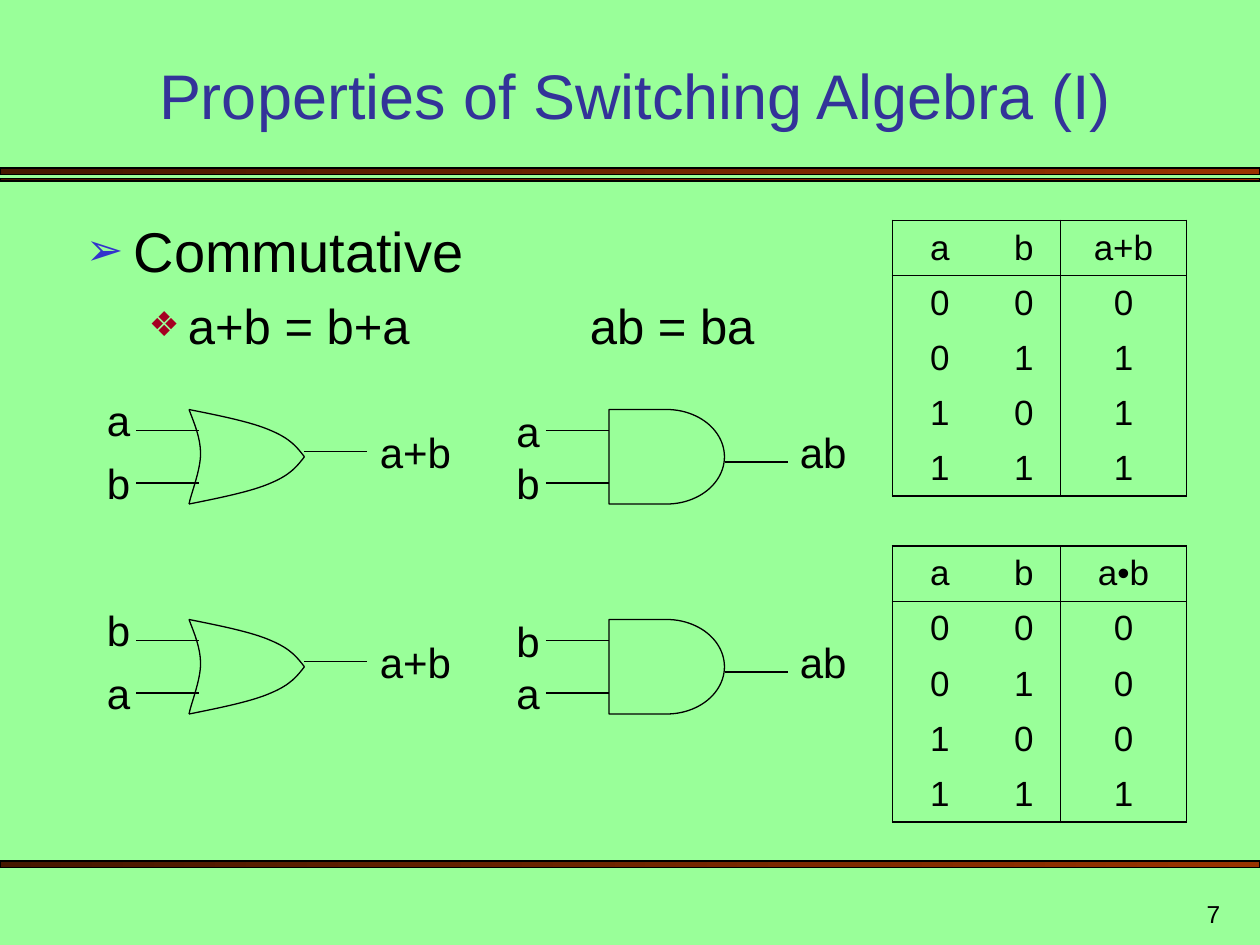
from lxml import etree
from pptx import Presentation
from pptx.dml.color import RGBColor
from pptx.enum.shapes import MSO_CONNECTOR, MSO_SHAPE
from pptx.enum.text import MSO_ANCHOR, MSO_AUTO_SIZE, PP_ALIGN
from pptx.oxml.ns import qn
from pptx.util import Inches, Pt

BACKGROUND = RGBColor(0x99, 0xFF, 0x99)
BLACK = RGBColor(0, 0, 0)
TITLE_BLUE = RGBColor(0x33, 0x33, 0x99)
ARROW_BLUE = RGBColor(0x33, 0x33, 0xCC)
DIAMOND_RED = RGBColor(0xA5, 0x00, 0x21)
BAR_LIGHT = RGBColor(0x99, 0x33, 0x00)
BAR_DARK = RGBColor(0x46, 0x17, 0x00)

INPUT_PAIRS = [("0", "0"), ("0", "1"), ("1", "0"), ("1", "1")]

# Gate measures, in grid units of a twelfth of an inch
GATE_WIDTH, GATE_HEIGHT = 11, 9
WIRE_LENGTH = 6
INPUT_OFFSETS = (2, 7)

# OR gate sides: a start, then three points for each cubic curve
OR_BACK = [(0, 0), (0.5, 1.3), (1.1, 2.7), (1.1, 4.2), (1.1, 5.8), (0.2, 8), (0, 9)]
OR_TOP = [(0, 0), (3, 0.6), (6, 1.2), (7.8, 2), (9.7, 2.8), (10.3, 3.6), (11, 4.5)]
OR_BOTTOM = [(x, GATE_HEIGHT - y) for x, y in OR_TOP]


def grid(units):
    return Inches(units / 12)


def format_paragraph(para, size, color=BLACK, align=None):
    para.alignment = align
    para.font.name = "Arial"
    para.font.size = Pt(size)
    para.font.color.rgb = color


def outline(shape):
    shape.line.color.rgb = BLACK
    shape.line.width = Pt(0.75)


def add_label(page, text, left, top, width, height=6, size=24, align=None):
    box = page.shapes.add_textbox(grid(left), grid(top), grid(width), grid(height))
    box.text_frame.word_wrap = True
    box.text_frame.text = text
    format_paragraph(box.text_frame.paragraphs[0], size, align=align)
    return box


def add_bar(page, top, height):
    bar = page.shapes.add_shape(
        MSO_SHAPE.RECTANGLE, 0, grid(top), Inches(10), Inches(height))
    bar.shadow.inherit = False
    bar.fill.gradient()
    bar.fill.gradient_angle = 180
    for stop, color in zip(bar.fill.gradient_stops, (BAR_LIGHT, BAR_DARK)):
        stop.color.rgb = color
    outline(bar)


def add_title(page):
    title = page.shapes.title
    title.left, title.top = grid(7), grid(5)
    title.width, title.height = grid(107), Inches(0.68)
    frame = title.text_frame
    frame.text = "Properties of Switching Algebra (I)"
    frame.auto_size = MSO_AUTO_SIZE.NONE
    frame.vertical_anchor = MSO_ANCHOR.BOTTOM
    format_paragraph(frame.paragraphs[0], 36, TITLE_BLUE, PP_ALIGN.CENTER)


def add_bullet(para, mark, color, percent, margin, hanging):
    props = para._p.get_or_add_pPr()
    props.set("marL", str(Inches(margin)))
    props.set("indent", str(-Inches(hanging)))
    bullet_color = etree.SubElement(props, qn("a:buClr"))
    etree.SubElement(bullet_color, qn("a:srgbClr"), val=str(color))
    etree.SubElement(props, qn("a:buSzPct"), val=str(percent * 1000))
    etree.SubElement(props, qn("a:buFont"), typeface="Arial")
    etree.SubElement(props, qn("a:buChar"), char=mark)
    tabs = etree.SubElement(props, qn("a:tabLst"))
    for position in range(1, 9):
        etree.SubElement(tabs, qn("a:tab"), pos=str(Inches(position)), algn="l")


def add_laws(page):
    box = page.shapes.add_textbox(grid(7), grid(20), grid(107), grid(59))
    frame = box.text_frame
    frame.word_wrap = True
    heading = frame.paragraphs[0]
    heading.text = "Commutative"
    add_bullet(heading, "➢", ARROW_BLUE, 80, 0.38, 0.38)
    format_paragraph(heading, 32)
    law = frame.add_paragraph()
    law.text = "a+b = b+a\t\tab = ba"
    law.level = 1
    add_bullet(law, "❖", DIAMOND_RED, 70, 0.81, 0.31)
    law.space_before = Pt(7)
    format_paragraph(law, 28)


def set_borders(cell, widths):
    """Widths in points by side; a side with None has no line."""
    props = cell._tc.get_or_add_tcPr()
    for side in "LRTB":
        line = etree.SubElement(props, qn(f"a:ln{side}"))
        if widths[side] is None:
            etree.SubElement(line, qn("a:noFill"))
        else:
            line.set("w", str(Pt(widths[side])))
            fill = etree.SubElement(line, qn("a:solidFill"))
            etree.SubElement(fill, qn("a:srgbClr"), val=str(BLACK))


def add_truth_table(page, top, operation, results):
    rows = [("a", "b", operation)]
    rows += [(*pair, result) for pair, result in zip(INPUT_PAIRS, results)]
    table = page.shapes.add_table(
        5, 3, grid(85), grid(top), grid(28), Inches(2.19)).table
    table.first_row = table.horz_banding = False
    for column, width in zip(table.columns, (9, 7, 12)):
        column.width = grid(width)
    # Thick frame, thin rules under the header and before the result
    row_rules = [1.08, 0.45, None, None, None, 1.08]
    column_rules = [1.08, None, 0.45, 1.08]
    for r, values in enumerate(rows):
        for c, value in enumerate(values):
            cell = table.cell(r, c)
            cell.text = value
            cell.vertical_anchor = MSO_ANCHOR.MIDDLE
            format_paragraph(cell.text_frame.paragraphs[0], 20, align=PP_ALIGN.CENTER)
            set_borders(cell, {"L": column_rules[c], "R": column_rules[c + 1],
                               "T": row_rules[r], "B": row_rules[r + 1]})
            cell.fill.background()


def add_wire(page, left, y):
    wire = page.shapes.add_connector(
        MSO_CONNECTOR.STRAIGHT, grid(left), grid(y), grid(left + WIRE_LENGTH), grid(y))
    outline(wire)
    etree.SubElement(wire._element.spPr, qn("a:effectLst"))


def round_segments(shape):
    """Turn each three line segments of an outline into one cubic curve."""
    lines = list(shape._element.iter(qn("a:lnTo")))
    for first, second, third in zip(lines[::3], lines[1::3], lines[2::3]):
        first.tag = qn("a:cubicBezTo")
        for line in (second, third):
            first.append(line[0])
            line.getparent().remove(line)


def add_or_body(page, left, top):
    group = page.shapes.add_group_shape()
    for points in (OR_BACK, OR_TOP, OR_BOTTOM):
        start, *rest = [(grid(left + x), grid(top + y)) for x, y in points]
        builder = group.shapes.build_freeform(*start)
        builder.add_line_segments(rest, close=False)
        side = builder.convert_to_shape()
        round_segments(side)
        side.shadow.inherit = False
        side.fill.background()
        outline(side)


def add_and_body(page, left, top):
    body = page.shapes.add_shape(MSO_SHAPE.FLOWCHART_DELAY, grid(left), grid(top),
                                 grid(GATE_WIDTH), grid(GATE_HEIGHT))
    body.shadow.inherit = False
    body.fill.background()
    outline(body)


def add_gate(page, add_body, left, top, inputs, output, wire_left, label_offsets,
             output_offset, output_width):
    add_body(page, left, top)
    for name, wire_offset, label_offset in zip(inputs, INPUT_OFFSETS, label_offsets):
        add_wire(page, wire_left, top + wire_offset)
        add_label(page, name, wire_left - 4, top + label_offset, 4)
    right = left + GATE_WIDTH
    add_wire(page, right, top + output_offset)
    add_label(page, output, right + WIRE_LENGTH, top + 1, output_width)


def main():
    deck = Presentation()
    deck.slide_width, deck.slide_height = Inches(10), Inches(7.5)
    page = deck.slides.add_slide(deck.slide_layouts[5])
    page.background.fill.solid()
    page.background.fill.fore_color.rgb = BACKGROUND

    # Frame, title and laws
    for top, height in ((16, 0.05), (17, 0.02), (82, 0.05)):
        add_bar(page, top, height)
    add_title(page)
    add_laws(page)

    # Truth tables
    add_truth_table(page, 21, "a+b", "0111")
    add_truth_table(page, 52, "a•b", "0001")

    # Gates, with the inputs swapped in the second row
    for top, inputs in ((39, "ab"), (59, "ba")):
        add_gate(page, add_or_body, 18, top, inputs, "a+b", 13, (-2, 4), 4, 10)
        add_gate(page, add_and_body, 58, top, inputs, "ab", 52, (-1, 4), 5, 7)

    # Page number
    number = add_label(page, "7", 92.4, 84, 25, 5, 14, PP_ALIGN.RIGHT)
    number.text_frame.vertical_anchor = MSO_ANCHOR.BOTTOM
    deck.save("out.pptx")


if __name__ == "__main__":
    main()
